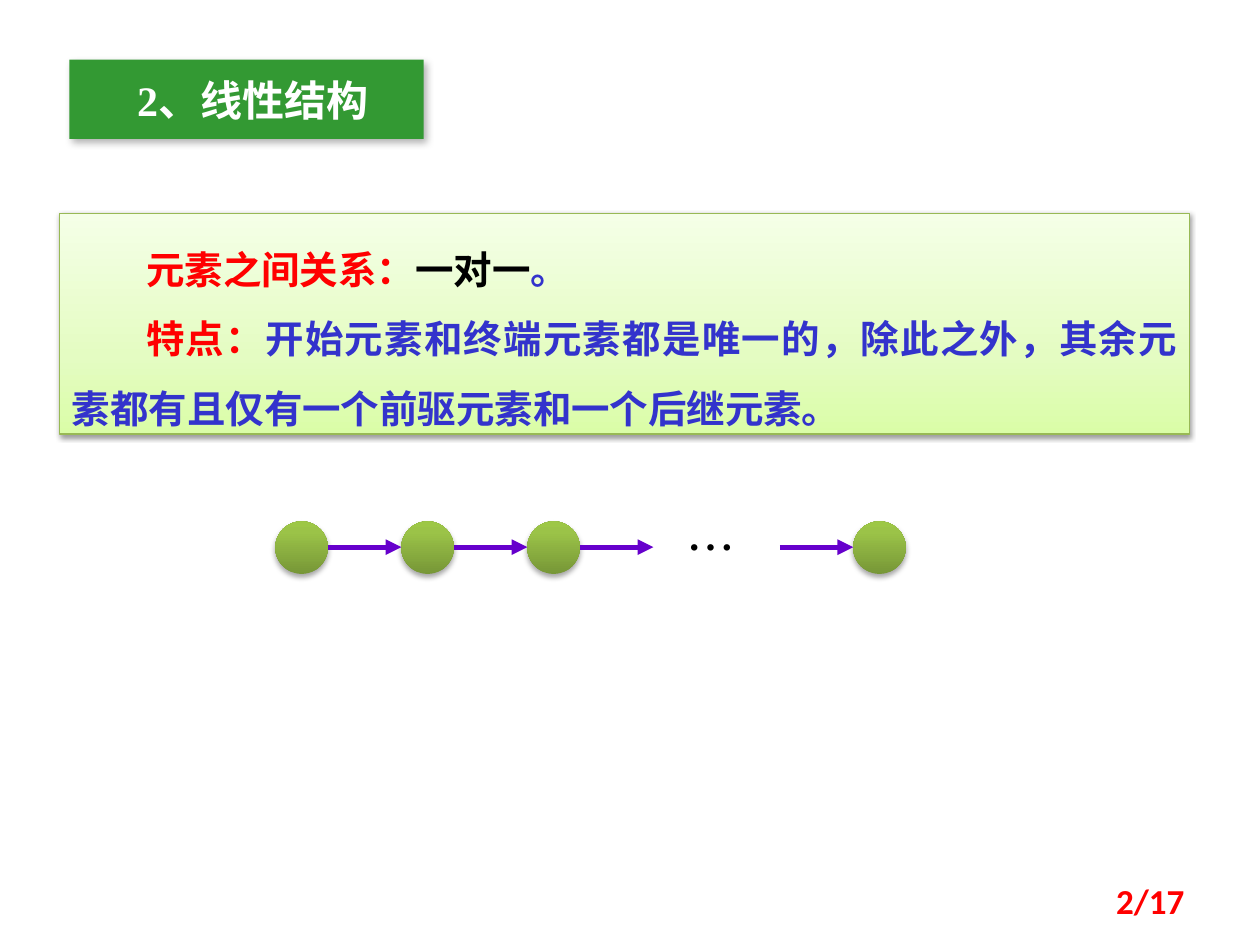
from copy import deepcopy
from lxml.etree import SubElement
from pptx import Presentation
from pptx.dml.color import RGBColor
from pptx.enum.shapes import MSO_CONNECTOR, MSO_SHAPE
from pptx.enum.text import MSO_ANCHOR, MSO_AUTO_SIZE, PP_ALIGN
from pptx.oxml.ns import qn
from pptx.util import Cm, Pt

RED = RGBColor(0xFF, 0x00, 0x00)
BLACK = RGBColor(0x00, 0x00, 0x00)
WHITE = RGBColor(0xFF, 0xFF, 0xFF)
BLUE = RGBColor(0x33, 0x33, 0xCC)
GREEN = RGBColor(0x33, 0x99, 0x33)
EDGE = RGBColor(0x98, 0xB9, 0x55)
PURPLE = RGBColor(0x66, 0x00, 0xCC)
PALE = [(0, RGBColor(0xDA, 0xFD, 0xA7)), (0.35, RGBColor(0xE4, 0xFC, 0xC2)),
        (1, RGBColor(0xF5, 0xFF, 0xE7))]
OLIVE = [(0, RGBColor(0x77, 0x97, 0x37)), (0.8, RGBColor(0x9B, 0xC3, 0x48)),
         (1, RGBColor(0x9D, 0xC7, 0x46))]
SANS, SERIF, HAN = "Calibri", "Times New Roman", "Noto Sans CJK SC"


def grade(shape, stops):
    """Fill with a three-stop gradient that runs from bottom to top."""
    shape.fill.gradient()
    shape.fill.gradient_angle = 90
    first = shape._element.spPr.find(".//" + qn("a:gs"))
    first.addnext(deepcopy(first))
    for stop, (pos, color) in zip(shape.fill.gradient_stops, stops):
        stop.position = pos
        stop.color.rgb = color


def cast(shape, alpha, blur, dist, angle):
    """Add an outer shadow: percent, points, points, degrees."""
    effects = SubElement(shape._element.spPr, qn("a:effectLst"))
    outer = SubElement(effects, qn("a:outerShdw"), blurRad=str(Pt(blur)),
                       dist=str(Pt(dist)), dir=str(angle * 60000), rotWithShape="0")
    black = SubElement(outer, qn("a:srgbClr"), val="000000")
    SubElement(black, qn("a:alpha"), val=str(alpha * 1000))


deck = Presentation()
deck.slide_width, deck.slide_height = Cm(25.4), Cm(19.05)
slide = deck.slides.add_slide(deck.slide_layouts[5])
shapes = slide.shapes

# Title
title = shapes.title
title.left, title.top, title.width, title.height = Cm(1.4), Cm(1.2), Cm(7.14), Cm(1.6)
title.fill.solid()
title.fill.fore_color.rgb = GREEN
cast(title, 30, 4.5, 2.6, 53)
frame = title.text_frame
frame.text = "2、线性结构"
frame.auto_size = MSO_AUTO_SIZE.NONE
frame.vertical_anchor = MSO_ANCHOR.TOP
frame.margin_left, frame.margin_top = Cm(0.5), Cm(0.3)
frame.paragraphs[0].alignment = PP_ALIGN.CENTER
font = frame.paragraphs[0].runs[0].font
font.name, font.size, font.bold = SERIF, Pt(24), True
font.color.rgb = WHITE

# Definition panel
panel = shapes.add_shape(MSO_SHAPE.RECTANGLE, Cm(1.2), Cm(4.3), Cm(22.78), Cm(4.45))
grade(panel, PALE)
panel.line.color.rgb = EDGE
panel.line.width = Pt(0.75)
cast(panel, 38, 3.1, 1.6, 90)
frame = panel.text_frame
frame.word_wrap = True
frame.vertical_anchor = MSO_ANCHOR.TOP
frame.margin_top, frame.margin_bottom = Cm(0.2), 0
points = [
    [("元素", SANS, RED), ("之间关系：", SERIF, RED),
     ("一对一", SERIF, BLACK), ("。", SERIF, BLUE)],
    [("特点：", SERIF, RED), ("开始元素和终端元素都是", SANS, BLUE),
     ("唯一的，除此之外，", SERIF, BLUE), ("其余元素都", SANS, BLUE),
     ("有且仅有一个前驱", SERIF, BLUE), ("元素和", SANS, BLUE),
     ("一个", SERIF, BLUE), ("后继元素。", SANS, BLUE)],
]
for i, point in enumerate(points):
    para = frame.add_paragraph() if i else frame.paragraphs[0]
    para.alignment = PP_ALIGN.JUSTIFY
    para.line_spacing = 1.5
    para._p.get_or_add_pPr().set("indent", str(Cm(1.5)))
    for text, face, color in point:
        run = para.add_run()
        run.text = text
        run.font.name, run.font.size, run.font.bold = face, Pt(22), True
        run.font.color.rgb = color

# Chain of nodes
SIZE, STEP, START, LAST = 1.06, 2.54, 5.55, 17.2
REACH = STEP - SIZE
nodes = [START + i * STEP for i in range(3)]
for left in nodes + [LAST]:
    node = shapes.add_shape(MSO_SHAPE.OVAL, Cm(left), Cm(10.51), Cm(SIZE), Cm(SIZE))
    grade(node, OLIVE)
    node.line.fill.background()
    cast(node, 35, 3.1, 1.8, 90)

for left in [x + SIZE for x in nodes] + [LAST - REACH]:
    arrow = shapes.add_connector(MSO_CONNECTOR.STRAIGHT, Cm(left), Cm(11.03),
                                 Cm(left + REACH), Cm(11.03))
    arrow.line.color.rgb = PURPLE
    arrow.line.width = Pt(3)
    SubElement(arrow.line._get_or_add_ln(), qn("a:tailEnd"), type="triangle")
    SubElement(arrow._element.spPr, qn("a:effectLst"))

# Ellipsis and page number
labels = [
    ("…", 13.6, 10.31, 1.9, 1.45, HAN, 28, False, BLACK, PP_ALIGN.LEFT, MSO_ANCHOR.TOP),
    ("2/17", 18.21, 17.65, 5.92, 1.02, SANS, 20, True, RED, PP_ALIGN.RIGHT,
     MSO_ANCHOR.MIDDLE),
]
for text, left, top, width, height, face, size, bold, color, align, anchor in labels:
    label = shapes.add_textbox(Cm(left), Cm(top), Cm(width), Cm(height))
    frame = label.text_frame
    frame.text = text
    frame.word_wrap = True
    frame.vertical_anchor = anchor
    para = frame.paragraphs[0]
    para.alignment = align
    font = para.runs[0].font
    font.name, font.size, font.bold = face, Pt(size), bold
    font.color.rgb = color

# East Asian typeface for every run
for shape in shapes:
    if shape.has_text_frame:
        for para in shape.text_frame.paragraphs:
            for run in para.runs:
                SubElement(run._r.get_or_add_rPr(), qn("a:ea"), typeface=HAN)

deck.save("out.pptx")
